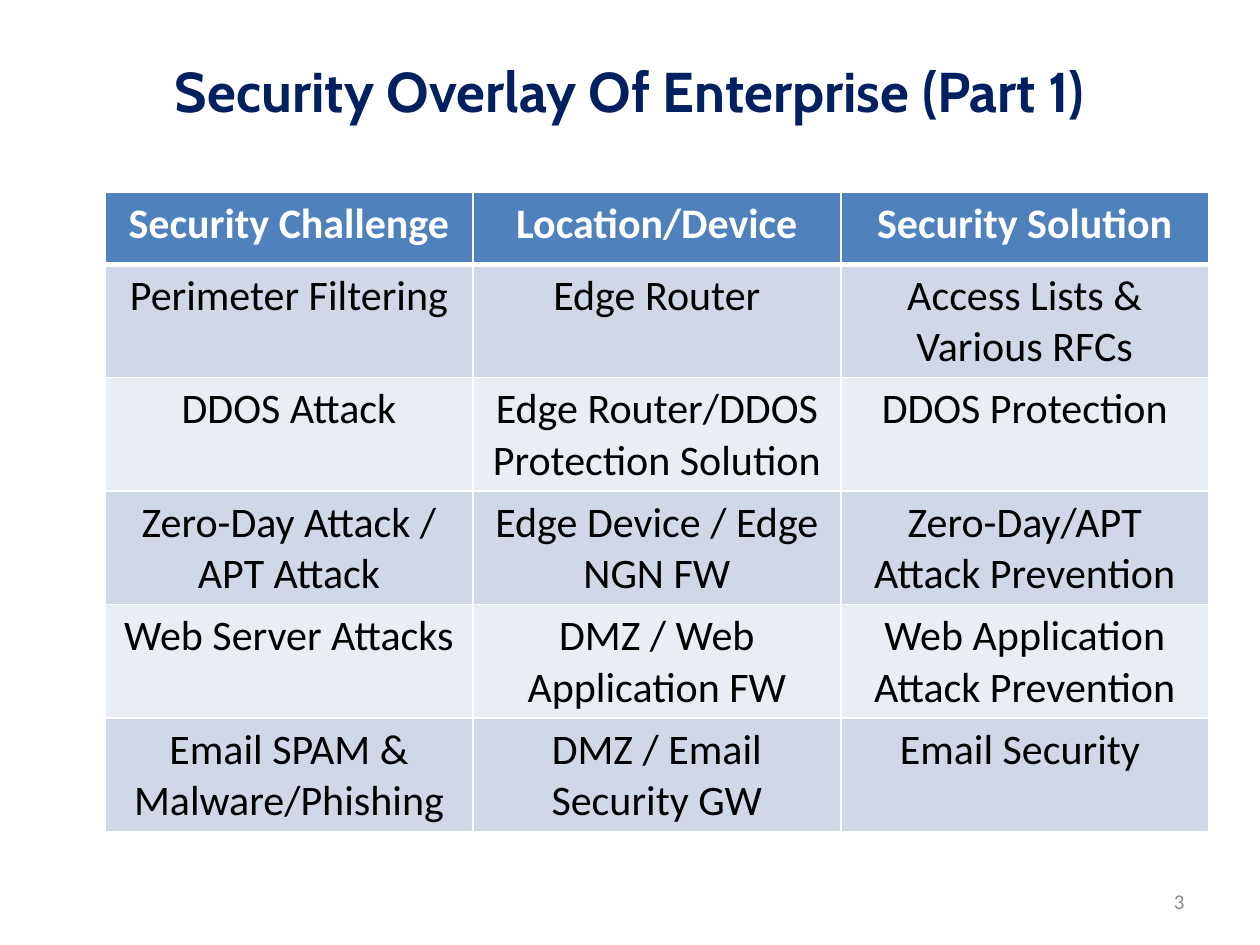
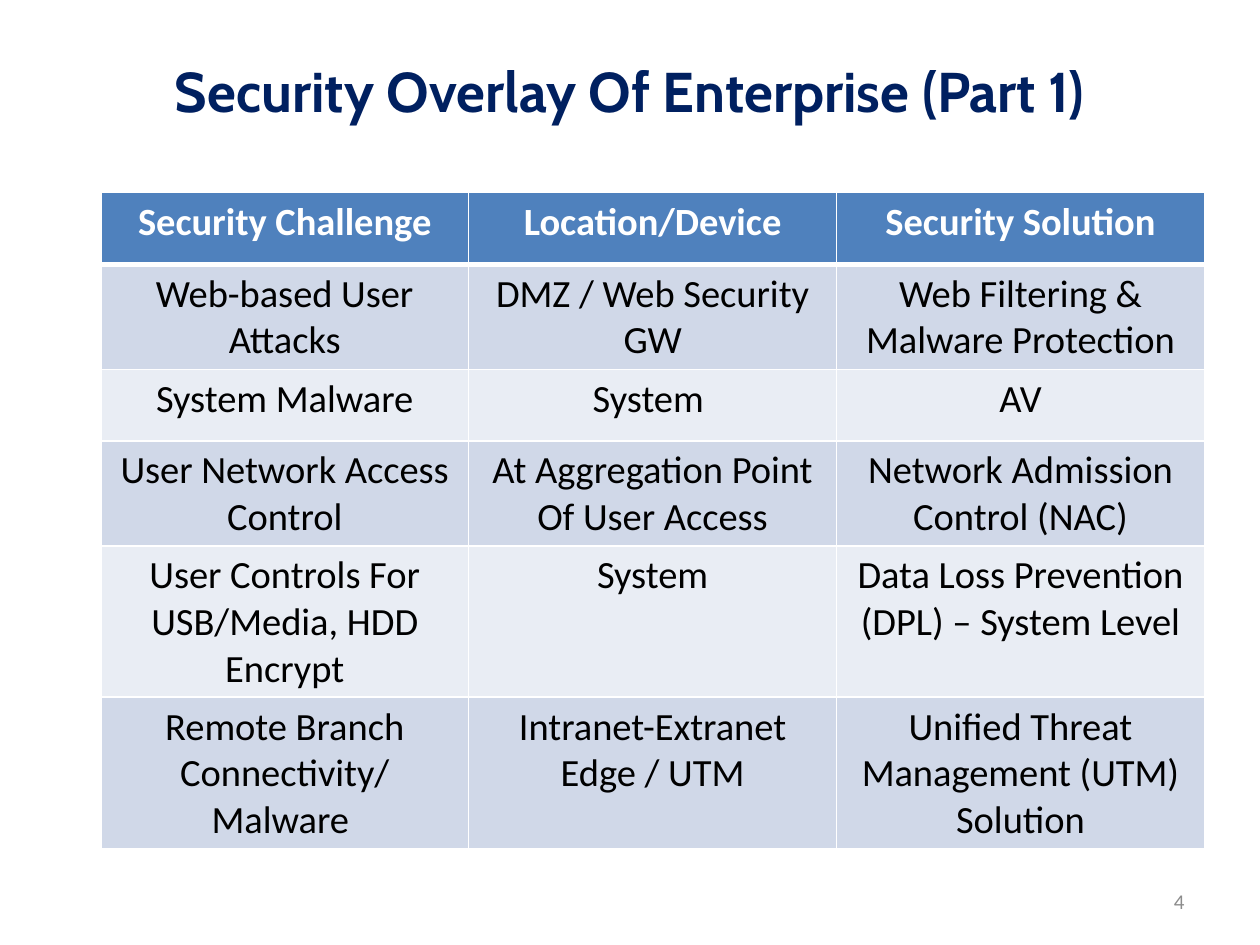
from dataclasses import dataclass

from lxml import etree
from pptx import Presentation
from pptx.dml.color import RGBColor
from pptx.enum.text import MSO_ANCHOR, PP_ALIGN
from pptx.oxml.ns import qn
from pptx.slide import Slide
from pptx.table import _Cell
from pptx.text.text import TextFrame
from pptx.util import Pt

CENTER, RIGHT = PP_ALIGN.CENTER, PP_ALIGN.RIGHT
TOP, MIDDLE = MSO_ANCHOR.TOP, MSO_ANCHOR.MIDDLE

WHITE = RGBColor(0xFF, 0xFF, 0xFF)
BLACK = RGBColor(0x00, 0x00, 0x00)
NAVY = RGBColor(0x00, 0x20, 0x60)
GRAY = RGBColor(0x8C, 0x8C, 0x8C)
HEADER_BLUE = RGBColor(0x4F, 0x81, 0xBD)
BANDS = (RGBColor(0xD0, 0xD8, 0xE8), RGBColor(0xE9, 0xED, 0xF4))

TITLE_FONT, BODY_FONT = "Cabin", "Calibri"
TITLE = "Security Overlay Of Enterprise (Part 1)"
HEADER = ("Security Challenge", "Location/Device", "Security Solution")
TITLE_ONLY_LAYOUT = 5

TABLE_TOP = Pt(110)
COLUMN_WIDTH = Pt(210.24)
ROW_HEIGHT = Pt(41)
THIN, THICK = Pt(1), Pt(3)


@dataclass(frozen=True)
class OverlayPage:
    number: int
    table_left: float
    table_height: float
    font_size: float
    rows: tuple[tuple[str, str, str], ...]


PAGES = (
    OverlayPage(3, 60, 365, 24, (
        ("Perimeter Filtering", "Edge Router", "Access Lists & Various RFCs"),
        ("DDOS Attack", "Edge Router/DDOS Protection Solution", "DDOS Protection"),
        ("Zero-Day Attack / APT Attack", "Edge Device / Edge NGN FW",
         "Zero-Day/APT Attack Prevention"),
        ("Web Server Attacks", "DMZ / Web Application FW",
         "Web Application Attack Prevention"),
        ("Email SPAM & Malware/Phishing", "DMZ / Email Security GW", "Email Security "),
    )),
    OverlayPage(4, 57.6, 374.4, 22, (
        ("Web-based User Attacks", "DMZ / Web Security GW",
         "Web Filtering & Malware Protection"),
        ("System Malware", "System ", "AV"),
        ("User Network Access Control", "At Aggregation Point Of User Access",
         "Network Admission Control (NAC)"),
        ("User Controls For USB/Media, HDD Encrypt", "System",
         "Data Loss Prevention (DPL) – System Level"),
        ("Remote Branch Connectivity/ Malware ", "Intranet-Extranet Edge / UTM",
         "Unified Threat Management (UTM) Solution"),
    )),
)


def write_text(frame: TextFrame, text: str, *, size: float, color: RGBColor,
               font: str = BODY_FONT, bold: bool = False,
               align: PP_ALIGN = CENTER, anchor: MSO_ANCHOR = TOP) -> None:
    frame.word_wrap = True
    frame.vertical_anchor = anchor
    para = frame.paragraphs[0]
    para.alignment = align
    span = para.add_run()
    span.text = text
    span.font.name = font
    span.font.size = Pt(size)
    span.font.bold = bold
    span.font.color.rgb = color


def set_borders(cell: _Cell, *, top: int = THIN, bottom: int = THIN) -> None:
    """Draw white cell edges; call before filling, as the schema orders lines first."""
    properties = cell._tc.get_or_add_tcPr()
    for side, width in (("L", THIN), ("R", THIN), ("T", top), ("B", bottom)):
        line = etree.SubElement(properties, qn(f"a:ln{side}"), w=str(width))
        fill = etree.SubElement(line, qn("a:solidFill"))
        etree.SubElement(fill, qn("a:srgbClr"), val=str(WHITE))


def add_title(slide: Slide) -> None:
    title = slide.shapes.title
    title.left, title.top, title.width, title.height = Pt(36), Pt(16.5), Pt(648), Pt(70.5)
    write_text(title.text_frame, TITLE, size=32, color=NAVY, font=TITLE_FONT,
               bold=True, anchor=MIDDLE)


def add_page_number(slide: Slide, number: int) -> None:
    box = slide.shapes.add_textbox(Pt(516), Pt(500.5), Pt(168), Pt(28.75))
    write_text(box.text_frame, str(number), size=12, color=GRAY, align=RIGHT, anchor=MIDDLE)


def add_overlay_table(slide: Slide, page: OverlayPage) -> None:
    rows = (HEADER, *page.rows)
    frame = slide.shapes.add_table(len(rows), len(HEADER), Pt(page.table_left), TABLE_TOP,
                                   COLUMN_WIDTH * len(HEADER), Pt(page.table_height))
    table = frame.table
    for column in table.columns:
        column.width = COLUMN_WIDTH
    for row_index, texts in enumerate(rows):
        table.rows[row_index].height = ROW_HEIGHT
        is_header = row_index == 0
        for column_index, text in enumerate(texts):
            cell = table.cell(row_index, column_index)
            set_borders(cell, top=THICK if row_index == 1 else THIN,
                        bottom=THICK if is_header else THIN)
            cell.fill.solid()
            cell.fill.fore_color.rgb = (
                HEADER_BLUE if is_header else BANDS[(row_index - 1) % len(BANDS)])
            write_text(cell.text_frame, text, size=page.font_size, bold=is_header,
                       color=WHITE if is_header else BLACK)
    frame.height = Pt(page.table_height)


def main() -> None:
    deck = Presentation()
    deck.slide_width, deck.slide_height = Pt(720), Pt(540)
    for page in PAGES:
        slide = deck.slides.add_slide(deck.slide_layouts[TITLE_ONLY_LAYOUT])
        add_page_number(slide, page.number)
        add_title(slide)
        add_overlay_table(slide, page)
    deck.save("out.pptx")


if __name__ == "__main__":
    main()
